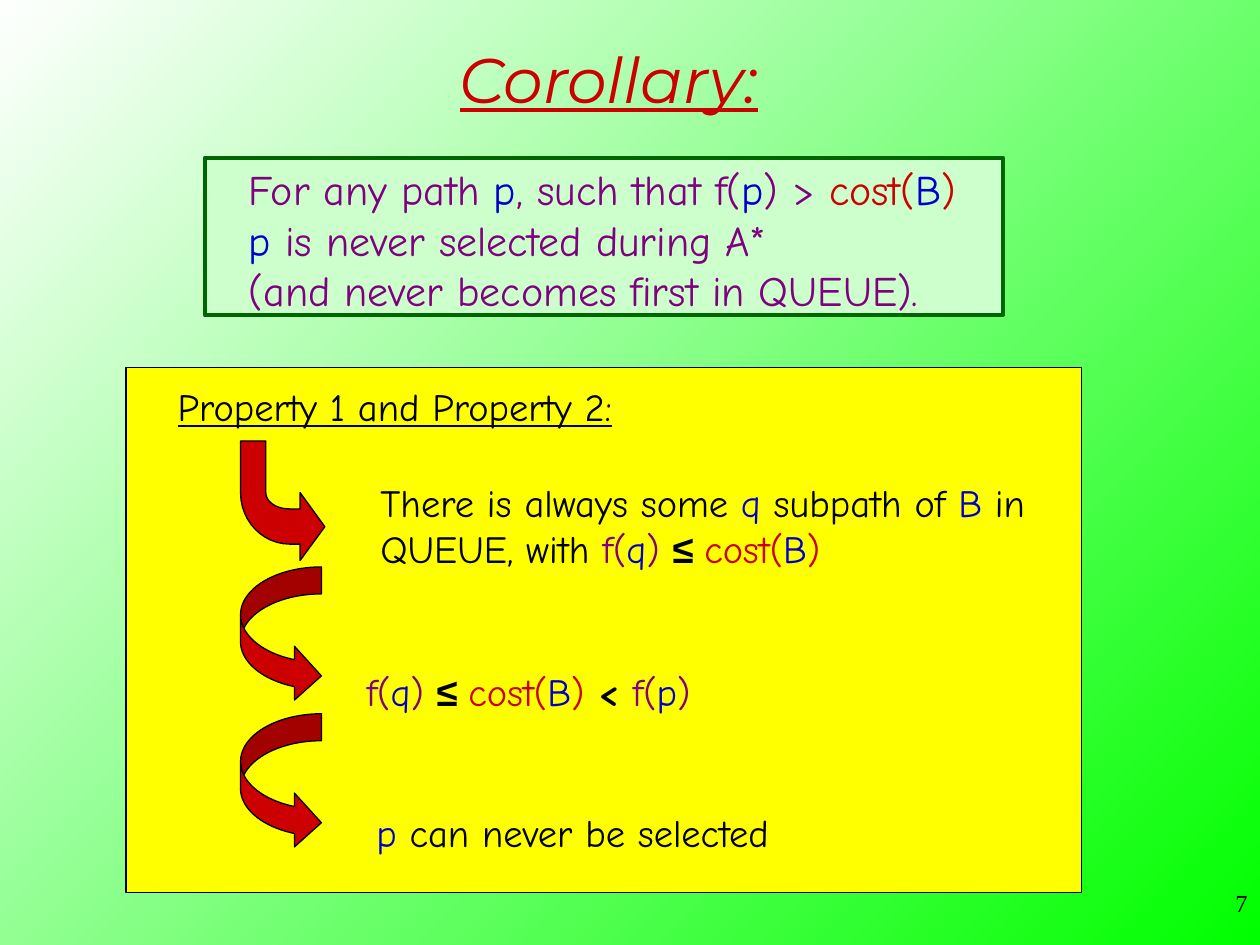
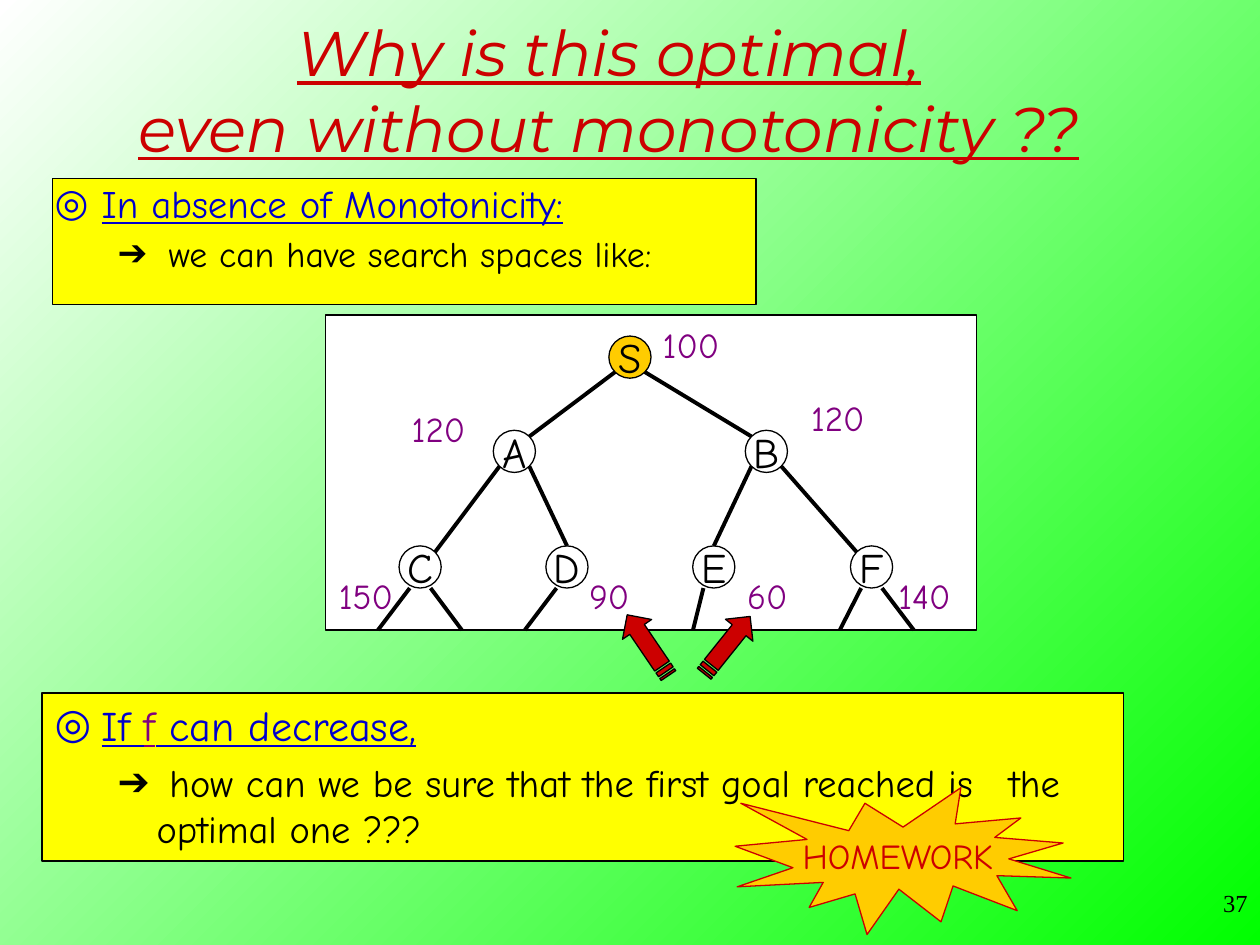
from dataclasses import dataclass

from lxml.etree import SubElement
from pptx import Presentation
from pptx.dml.color import RGBColor as RGB
from pptx.enum.shapes import MSO_CONNECTOR as LINK, MSO_SHAPE as SHAPE
from pptx.enum.text import MSO_ANCHOR as ANCHOR, MSO_AUTO_SIZE as FIT, PP_ALIGN as ALIGN
from pptx.oxml.ns import qn
from pptx.util import Cm, Pt


@dataclass(frozen=True)
class Theme:
    """Colours, fonts and type sizes of the deck."""
    black: RGB = RGB(0x00, 0x00, 0x00)
    white: RGB = RGB(0xFF, 0xFF, 0xFF)
    red: RGB = RGB(0xCC, 0x00, 0x00)
    blue: RGB = RGB(0x00, 0x00, 0xCC)
    purple: RGB = RGB(0x80, 0x00, 0x80)
    yellow: RGB = RGB(0xFF, 0xFF, 0x00)
    gold: RGB = RGB(0xFF, 0xCC, 0x00)
    mint: RGB = RGB(0xCC, 0xFF, 0xCC)
    forest: RGB = RGB(0x00, 0x66, 0x00)
    lime: RGB = RGB(0x00, 0xFF, 0x00)
    title_font: str = "Montserrat"
    body_font: str = "Comic Neue"
    sign_font: str = "Arial"
    page_font: str = "Times New Roman"
    title: float = 36
    statement: float = 24
    topic: float = 22.2
    proof: float = 22
    detail: float = 20.4
    label: float = 20
    page: float = 14
    thin: float = 0.75
    thick: float = 2.25


T = Theme()
LEQ = ("≤ ", T.black, T.sign_font)
F_OF_Q = [("f(", T.purple), ("q", T.blue), (") ", T.purple)]
COST_OF_B = [("cost(", T.red), ("B", T.blue), (")", T.red)]

NODE_SIZE = 0.85
NODES = {"S": (12.7, 7.2), "A": (10.37, 9.1), "B": (15.45, 9.1), "C": (8.47, 11.43),
         "D": (11.43, 11.43), "E": (14.39, 11.43), "F": (17.57, 11.43)}
EDGES = ["SA", "SB", "AC", "AD", "BE", "BF"]
TREE_FRAME = (6.56, 6.35, 13.12, 6.35)
STUBS = [("C", -0.21, 7.62), ("C", 0.21, 9.31), ("D", -0.21, 10.58),
         ("E", -0.21, 13.97), ("F", -0.21, 16.93), ("F", 0.21, 18.42)]
F_VALUES = [("100", 13.11, 6.4), ("120", 8.05, 8.1), ("120", 16.1, 7.87),
            ("150", 6.58, 11.46), ("90", 11.63, 11.46), ("60", 14.81, 11.46),
            ("140", 17.86, 11.46)]


def set_font(font, size, color=None, name=T.body_font):
    """Set the size, face and optional colour of a font."""
    font.size, font.name = Pt(size), name
    if color is not None:
        font.color.rgb = color


def write(paragraph, runs, size, underline=None):
    """Fill a paragraph with (text, colour[, sign font]) runs."""
    colors = {run[1] for run in runs}
    shared = colors.pop() if len(colors) == 1 else None
    set_font(paragraph.font, size, shared)
    paragraph.font.underline = underline
    for text, color, *sign_font in runs:
        run = paragraph.add_run()
        run.text = text
        if shared is None:
            run.font.color.rgb = color
        if sign_font:
            run.font.name, run.font.bold = sign_font[0], True


def add_text(slide, box, lines, size, underline=None):
    """Add an unwrapped text box with one paragraph per line."""
    frame = slide.shapes.add_textbox(*map(Cm, box)).text_frame
    frame.word_wrap, frame.auto_size = False, FIT.SHAPE_TO_FIT_TEXT
    for index, runs in enumerate(lines):
        paragraph = frame.add_paragraph() if index else frame.paragraphs[0]
        write(paragraph, runs, size, underline)


def paint(shape, fill, line=T.black, weight=T.thin):
    """Give a shape a flat fill and outline."""
    shape.shadow.inherit = False
    shape.fill.solid()
    shape.fill.fore_color.rgb = fill
    shape.line.color.rgb = line
    shape.line.width = Pt(weight)
    return shape


def add_preset(slide, kind, box, fill, line=T.black, weight=T.thin):
    """Add a painted preset shape."""
    return paint(slide.shapes.add_shape(kind, *map(Cm, box)), fill, line, weight)


def add_outline(slide, contours, fill):
    """Add a painted freeform made of closed contours."""
    first = contours[0][0]
    builder = slide.shapes.build_freeform(*map(Cm, first))
    for start, *rest in contours:
        if start != first:
            builder.move_to(*map(Cm, start))
        builder.add_line_segments([(Cm(x), Cm(y)) for x, y in rest], close=True)
    return paint(builder.convert_to_shape(), fill)


def add_edge(slide, start, end):
    """Draw a thick black branch."""
    edge = slide.shapes.add_connector(LINK.STRAIGHT, *map(Cm, (*start, *end)))
    edge.line.color.rgb = T.black
    edge.line.width = Pt(T.thick)
    SubElement(edge._element.spPr, qn("a:effectLst"))


def add_bullet(paragraph, mark, color, indent, hanging, level):
    """Give a paragraph a coloured bullet, hanging indent and inch tab stops."""
    paragraph.level = level
    props = paragraph._p.get_or_add_pPr()
    props.set("marL", str(Cm(indent)))
    props.set("indent", str(-Cm(hanging)))
    SubElement(SubElement(props, qn("a:buClr")), qn("a:srgbClr"), val=str(color))
    SubElement(props, qn("a:buFont"), typeface=T.sign_font)
    SubElement(props, qn("a:buChar"), char=mark)
    stops = SubElement(props, qn("a:tabLst"))
    for stop in range(1, 9):
        SubElement(stops, qn("a:tab"), pos=str(Cm(2.54 * stop)), algn="l")


def add_points(slide, box, topic, topic_size, detail, detail_size, spacing=None):
    """Add a bulleted topic with one arrowed detail below it."""
    frame = slide.shapes.add_textbox(*map(Cm, box)).text_frame
    frame.word_wrap = True
    head, body = frame.paragraphs[0], frame.add_paragraph()
    add_bullet(head, "◎", T.blue, 0.95, 0.95, 0)
    add_bullet(body, "➔", T.black, 2.06, 0.79, 1)
    body.space_before = Pt(5.5)
    for paragraph in (head, body):
        paragraph.line_spacing = spacing
    write(head, topic, topic_size, underline=True)
    write(body, [(detail, T.black)], detail_size)


def bezier(start, pull_start, pull_end, end, steps=12):
    """Return points along a cubic curve, without its start."""
    def at(t, axis):
        s = 1 - t
        return (s ** 3 * start[axis] + 3 * s * s * t * pull_start[axis]
                + 3 * s * t * t * pull_end[axis] + t ** 3 * end[axis])
    return [(at(i / steps, 0), at(i / steps, 1)) for i in range(1, steps + 1)]


def add_bent_arrow(slide):
    """Draw the arrow that turns from the properties to the first step."""
    add_outline(slide, [[
        (4.85, 8.89), (4.85, 9.93),
        *bezier((4.85, 9.93), (4.85, 10.52), (5.31, 10.97), (5.84, 10.97)),
        (6.05, 10.97), (6.05, 11.3), (6.55, 10.62), (6.05, 9.93),
        (6.05, 10.26), (5.84, 10.26),
        *bezier((5.84, 10.26), (5.56, 10.26), (5.36, 10.11), (5.36, 9.93)),
        (5.36, 8.89)]], T.red)


def add_curved_arrow(slide, top):
    """Draw the curved arrow from one proof step to the next."""
    arrow = add_preset(slide, SHAPE.CURVED_RIGHT_ARROW, (4.85, top, 1.63, 2.74), T.red)
    for index, ratio in enumerate((1 / 3, 2 / 3, 1 / 3)):
        arrow.adjustments[index] = ratio


def add_striped_arrow(slide, left, top, angle):
    """Draw a striped arrow that points at a decreasing f-value."""
    length, width, stripe = 1.48, 0.71, 0.046
    upper, lower = top + width / 4, top + width * 3 / 4
    neck, tip, tail = left + length - width / 2, left + length, left + 5 * stripe
    head = [(tail, upper), (neck, upper), (neck, top), (tip, top + width / 2),
            (neck, top + width), (neck, lower), (tail, lower)]
    stripes = [[(left + a * stripe, upper), (left + b * stripe, upper),
                (left + b * stripe, lower), (left + a * stripe, lower)]
               for a, b in ((0, 1), (2, 4))]
    add_outline(slide, [head, *stripes], T.red).rotation = angle


def add_node(slide, name):
    """Draw a labelled tree node, the start node in gold."""
    x, y = NODES[name]
    box = (x - NODE_SIZE / 2, y - NODE_SIZE / 2, NODE_SIZE, NODE_SIZE)
    node = add_preset(slide, SHAPE.OVAL, box, T.gold if name == "S" else T.white)
    frame = node.text_frame
    frame.word_wrap, frame.vertical_anchor = False, ANCHOR.MIDDLE
    frame.paragraphs[0].alignment = ALIGN.CENTER
    write(frame.paragraphs[0], [(name, T.black)], T.statement)


def add_branch(slide, parent, child):
    """Join two nodes rim to rim, entering inner children from the top."""
    (px, py), (cx, cy) = NODES[parent], NODES[child]
    side = 1 if cx > px else -1
    rim = 0.3
    if child in "DE":
        end = (cx, cy - NODE_SIZE / 2)
    else:
        end = (cx - side * rim, cy - rim)
    add_edge(slide, (px + side * rim, py + rim), end)


def add_tree(slide):
    """Draw the framed search tree with its f-values."""
    add_preset(slide, SHAPE.RECTANGLE, TREE_FRAME, T.white)
    for name in NODES:
        add_node(slide, name)
    for parent, child in EDGES:
        add_branch(slide, parent, child)
    for value, left, top in F_VALUES:
        width = 0.6 + 0.4 * len(value)
        add_text(slide, (left, top, width, 1.12), [[(value, T.purple)]], T.label)
    floor = TREE_FRAME[1] + TREE_FRAME[3]
    for name, offset, foot in STUBS:
        x, y = NODES[name]
        add_edge(slide, (x + offset, y + NODE_SIZE / 2), (foot, floor))


def start_slide(deck, title, title_height, page):
    """Add a slide with the shared background, title and page number."""
    slide = deck.slides.add_slide(deck.slide_layouts[6])
    backdrop = slide.background.fill
    backdrop.gradient()
    backdrop.gradient_angle = 135
    for stop, color in zip(backdrop.gradient_stops, (T.lime, T.white)):
        stop.color.rgb = color
    heading = slide.shapes.add_textbox(*map(Cm, (1.48, 0.21, 21.59, title_height))).text_frame
    heading.word_wrap, heading.vertical_anchor = True, ANCHOR.MIDDLE
    line = heading.paragraphs[0]
    line.text, line.alignment = title, ALIGN.CENTER
    set_font(line.font, T.title, T.red, T.title_font)
    line.font.italic = line.font.underline = True
    footer = slide.shapes.add_textbox(*map(Cm, (20.11, 17.78, 5.29, 1.27))).text_frame
    footer.word_wrap = True
    number = footer.paragraphs[0]
    number.text, number.alignment = page, ALIGN.RIGHT
    set_font(number.font, T.page, T.black, T.page_font)
    return slide


def build_corollary(deck):
    """Build the corollary and its proof."""
    slide = start_slide(deck, "Corollary:", 2.75, "7")
    add_preset(slide, SHAPE.RECTANGLE, (4.13, 3.18, 16.09, 3.18), T.mint, T.forest, T.thick)
    add_text(slide, (4.77, 3.18, 14.85, 3.3), [
        [("For any path ", T.purple), ("p", T.blue), (", such that f(", T.purple),
         ("p", T.blue), (") > ", T.purple), *COST_OF_B],
        [("p", T.blue), (" is never selected during A*", T.purple)],
        [("(and never becomes first in QUEUE).", T.purple)]], T.statement)
    add_preset(slide, SHAPE.RECTANGLE, (2.54, 7.41, 19.26, 10.58), T.yellow)
    add_text(slide, (3.33, 7.6, 9.3, 1.19),
             [[("Property 1 and Property 2:", T.black)]], T.proof, underline=True)
    add_text(slide, (7.42, 9.53, 13.6, 2.13), [
        [("There is always some ", T.black), ("q", T.blue), (" subpath of ", T.black),
         ("B", T.blue), (" in", T.black)],
        [("QUEUE, with ", T.black), *F_OF_Q, LEQ, *COST_OF_B]], T.proof)
    add_text(slide, (7.14, 13.34, 7.55, 1.19), [
        [*F_OF_Q, LEQ, *COST_OF_B, (" < ", T.black, T.body_font),
         ("f(", T.purple), ("p", T.blue), (")", T.purple)]], T.proof)
    add_text(slide, (7.34, 16.18, 8.5, 1.19),
             [[("p", T.blue), (" can never be selected", T.black)]], T.proof)
    add_bent_arrow(slide)
    for top in (11.43, 14.39):
        add_curved_arrow(slide, top)


def build_optimality(deck):
    """Build the question about optimality without monotonicity."""
    slide = start_slide(deck, "Why is this optimal,\veven without monotonicity ??", 3.18, "37")
    add_tree(slide)
    for left, angle in ((12.32, 235.8), (13.92, 308.7)):
        add_striped_arrow(slide, left, 12.65, angle)
    add_preset(slide, SHAPE.RECTANGLE, (1.06, 3.6, 14.18, 2.54), T.yellow)
    add_points(slide, (0.85, 3.6, 16.51, 2.33),
               [("In absence of Monotonicity:", T.blue)], T.topic,
               " we can have search spaces like:", T.detail, spacing=0.9)
    question_box = (0.85, 13.97, 21.8, 3.39)
    add_preset(slide, SHAPE.RECTANGLE, question_box, T.yellow)
    add_points(slide, question_box,
               [("If ", T.blue), ("f", T.purple), (" can decrease,", T.blue)], T.statement,
               " how can we be sure that the first goal reached is \tthe optimal one ???", T.proof)
    add_preset(slide, SHAPE.EXPLOSION1, (14.82, 15.88, 6.77, 2.96), T.gold, T.red)
    add_text(slide, (15.93, 16.69, 4.4, 1.12), [[("HOMEWORK", T.red)]], T.label)


def main():
    """Build and save the deck."""
    deck = Presentation()
    deck.slide_width, deck.slide_height = Cm(25.4), Cm(19.05)
    build_corollary(deck)
    build_optimality(deck)
    deck.save("out.pptx")


if __name__ == "__main__":
    main()
